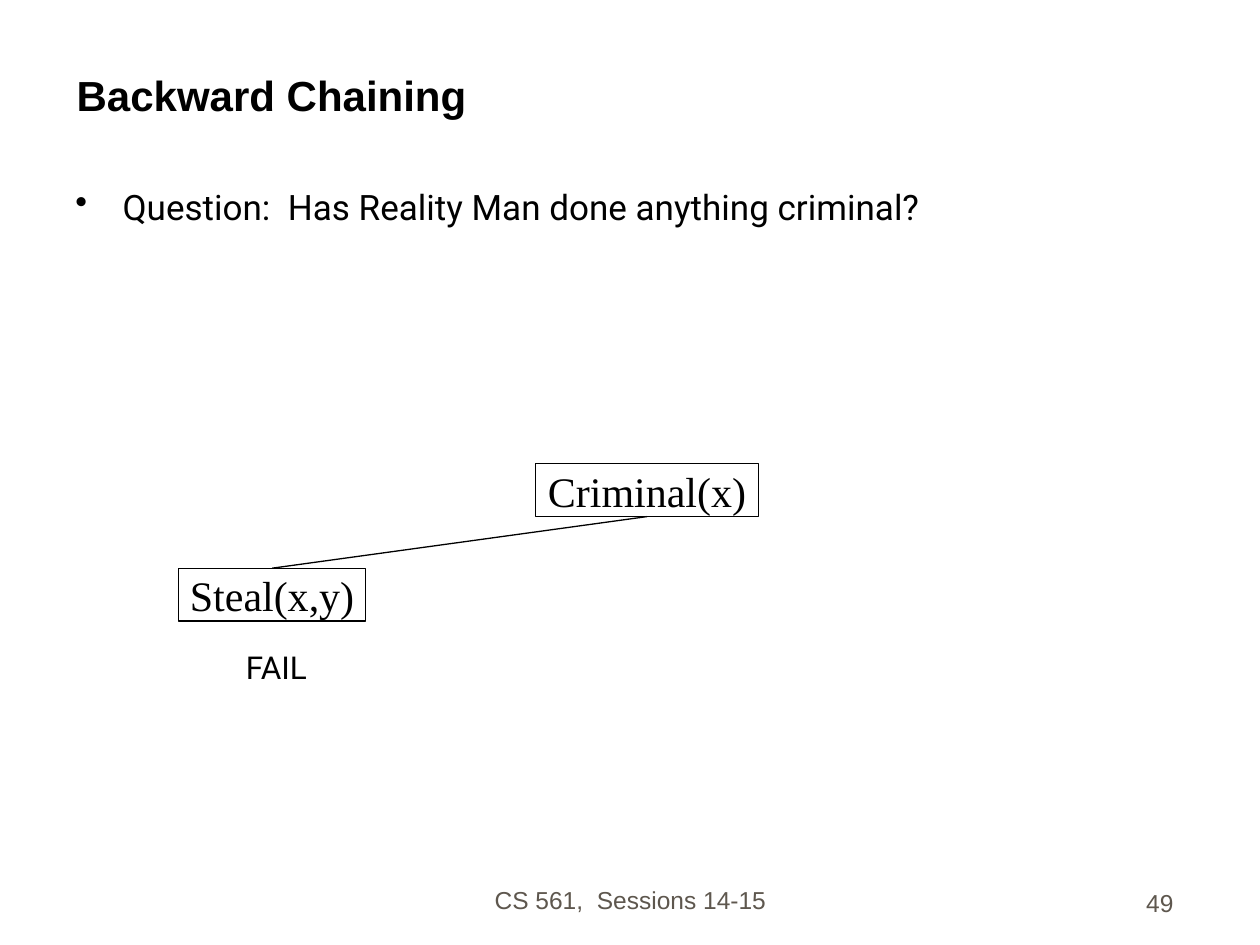
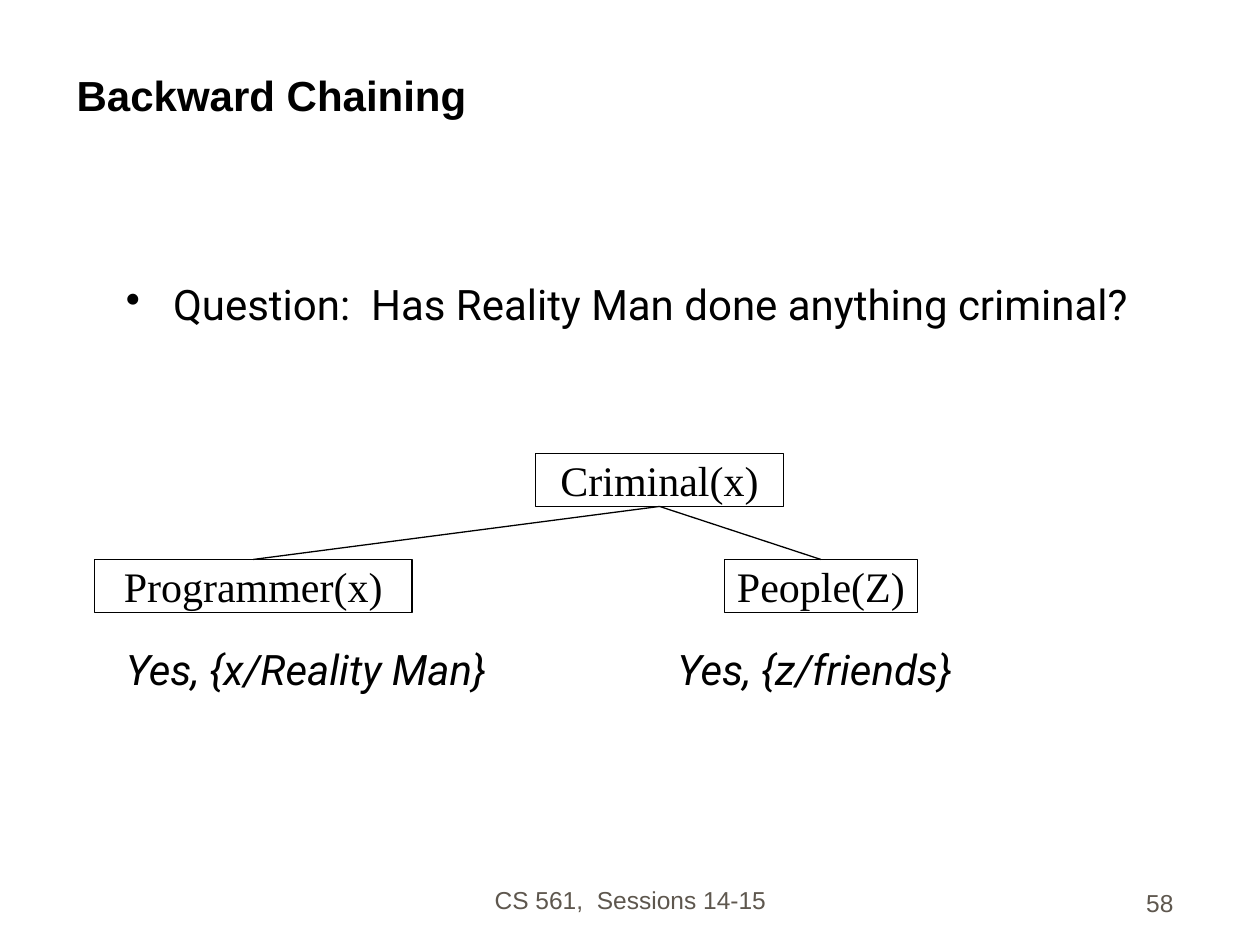
from dataclasses import dataclass

from lxml import etree
from pptx import Presentation
from pptx.dml.color import RGBColor
from pptx.enum.shapes import MSO_CONNECTOR, MSO_SHAPE
from pptx.enum.text import MSO_ANCHOR, PP_ALIGN
from pptx.oxml.ns import qn
from pptx.slide import Slide
from pptx.text.text import TextFrame, _Paragraph
from pptx.util import Pt

LEFT, CENTER, RIGHT = PP_ALIGN.LEFT, PP_ALIGN.CENTER, PP_ALIGN.RIGHT
TOP, MIDDLE, BOTTOM = MSO_ANCHOR.TOP, MSO_ANCHOR.MIDDLE, MSO_ANCHOR.BOTTOM
RECTANGLE, STRAIGHT = MSO_SHAPE.RECTANGLE, MSO_CONNECTOR.STRAIGHT

BLACK = RGBColor(0x00, 0x00, 0x00)
FOOTER_GREY = RGBColor(0x5E, 0x57, 0x4E)

LINE_WIDTH = 0.75
NODE_HEIGHT = 30.2
BULLET_INDENT = 27

TITLE_FORMAT = {"name": "Arial", "size": Pt(24), "bold": True}
FOOTER_FORMAT = {"name": "Arial", "size": Pt(14)}
NODE_FORMAT = {"name": "Times New Roman", "size": Pt(24)}

TITLE = "Backward Chaining"
FOOTER = "CS 561,  Sessions 14-15"
QUESTION = "Question:  Has Reality Man done anything criminal?"


@dataclass(frozen=True)
class Box:
    left: float
    top: float
    width: float
    height: float


@dataclass(frozen=True)
class Node:
    label: str
    left: float
    top: float
    width: float

    @property
    def middle(self) -> float:
        return self.left + self.width / 2


@dataclass(frozen=True)
class Answer:
    text: str
    box: Box


@dataclass(frozen=True)
class ProofSlide:
    number: str
    question_box: Box
    text_size: float
    line_spacing: float
    goal: Node
    subgoals: tuple[Node, ...]
    answers: tuple[Answer, ...]
    italic_answers: bool


TITLE_BOX = Box(36.7, 18, 642.2, 54)
FOOTER_BOX = Box(246.2, 490.3, 228.2, 36)
NUMBER_BOX = Box(527.8, 491.8, 149.8, 36)

PROOF_SLIDES = (
    ProofSlide(
        number="49",
        question_box=Box(36, 102.2, 643.7, 36),
        text_size=20,
        line_spacing=1,
        goal=Node("Criminal(x)", 306, 265, 127.5),
        subgoals=(Node("Steal(x,y)", 102.2, 324.7, 106.6),),
        answers=(Answer("FAIL", Box(133.5, 367, 80, 30)),),
        italic_answers=False,
    ),
    ProofSlide(
        number="58",
        question_box=Box(64.8, 159.1, 640, 36),
        text_size=24,
        line_spacing=0.9,
        goal=Node("Criminal(x)", 306, 259.2, 141.8),
        subgoals=(
            Node("People(Z)", 414, 319.7, 110.2),
            Node("Programmer(x)", 54, 319.7, 181.4),
        ),
        answers=(
            Answer("Yes, {x/Reality Man}", Box(64.8, 364, 260, 36)),
            Answer("Yes, {z/friends}", Box(380, 364, 220, 36)),
        ),
        italic_answers=True,
    ),
)


def write(frame: TextFrame, text: str, font_format: dict,
          color: RGBColor = BLACK, align: PP_ALIGN = LEFT) -> _Paragraph:
    paragraph = frame.paragraphs[0]
    paragraph.alignment = align
    run = paragraph.add_run()
    run.text = text
    for attribute, value in font_format.items():
        setattr(run.font, attribute, value)
    run.font.color.rgb = color
    return paragraph


def add_text(slide: Slide, box: Box, text: str, font_format: dict,
             color: RGBColor = BLACK, align: PP_ALIGN = LEFT,
             anchor: MSO_ANCHOR = TOP) -> _Paragraph:
    shape = slide.shapes.add_textbox(
        Pt(box.left), Pt(box.top), Pt(box.width), Pt(box.height))
    shape.text_frame.word_wrap = True
    shape.text_frame.vertical_anchor = anchor
    return write(shape.text_frame, text, font_format, color, align)


def add_bullet(paragraph: _Paragraph) -> None:
    properties = paragraph._p.get_or_add_pPr()
    properties.set("marL", str(Pt(BULLET_INDENT)))
    properties.set("indent", str(-Pt(BULLET_INDENT)))
    etree.SubElement(properties, qn("a:buChar")).set("char", "•")


def add_node(slide: Slide, node: Node) -> None:
    shape = slide.shapes.add_shape(
        RECTANGLE, Pt(node.left), Pt(node.top), Pt(node.width), Pt(NODE_HEIGHT))
    shape.shadow.inherit = False
    shape.fill.background()
    shape.line.color.rgb = BLACK
    shape.line.width = Pt(LINE_WIDTH)
    shape.text_frame.word_wrap = False
    shape.text_frame.vertical_anchor = MIDDLE
    write(shape.text_frame, node.label, NODE_FORMAT, align=CENTER)


def add_branch(slide: Slide, parent: Node, child: Node) -> None:
    connector = slide.shapes.add_connector(
        STRAIGHT, Pt(parent.middle), Pt(parent.top + NODE_HEIGHT),
        Pt(child.middle), Pt(child.top))
    connector.line.color.rgb = BLACK
    connector.line.width = Pt(LINE_WIDTH)
    etree.SubElement(connector._element.spPr, qn("a:effectLst"))


def add_frame(slide: Slide, number: str) -> None:
    add_text(slide, FOOTER_BOX, FOOTER, FOOTER_FORMAT, FOOTER_GREY, CENTER, BOTTOM)
    add_text(slide, NUMBER_BOX, number, FOOTER_FORMAT, FOOTER_GREY, RIGHT, BOTTOM)
    add_text(slide, TITLE_BOX, TITLE, TITLE_FORMAT, anchor=BOTTOM)


def add_proof_slide(presentation: Presentation, proof: ProofSlide) -> None:
    slide = presentation.slides.add_slide(presentation.slide_layouts[6])
    add_frame(slide, proof.number)

    # Question
    question_format = {"name": "Roboto", "size": Pt(proof.text_size)}
    question = add_text(slide, proof.question_box, QUESTION, question_format)
    question.line_spacing = proof.line_spacing
    add_bullet(question)

    # Proof tree
    add_node(slide, proof.goal)
    for subgoal in proof.subgoals:
        add_node(slide, subgoal)
        add_branch(slide, proof.goal, subgoal)

    # Answers under the subgoals
    answer_size = 24 if proof.italic_answers else 18
    answer_format = {"name": "Roboto", "size": Pt(answer_size),
                     "italic": proof.italic_answers}
    for answer in proof.answers:
        add_text(slide, answer.box, answer.text, answer_format)


def main() -> None:
    presentation = Presentation()
    presentation.slide_width = Pt(720)
    presentation.slide_height = Pt(540)
    for proof in PROOF_SLIDES:
        add_proof_slide(presentation, proof)
    presentation.save("out.pptx")


if __name__ == "__main__":
    main()
